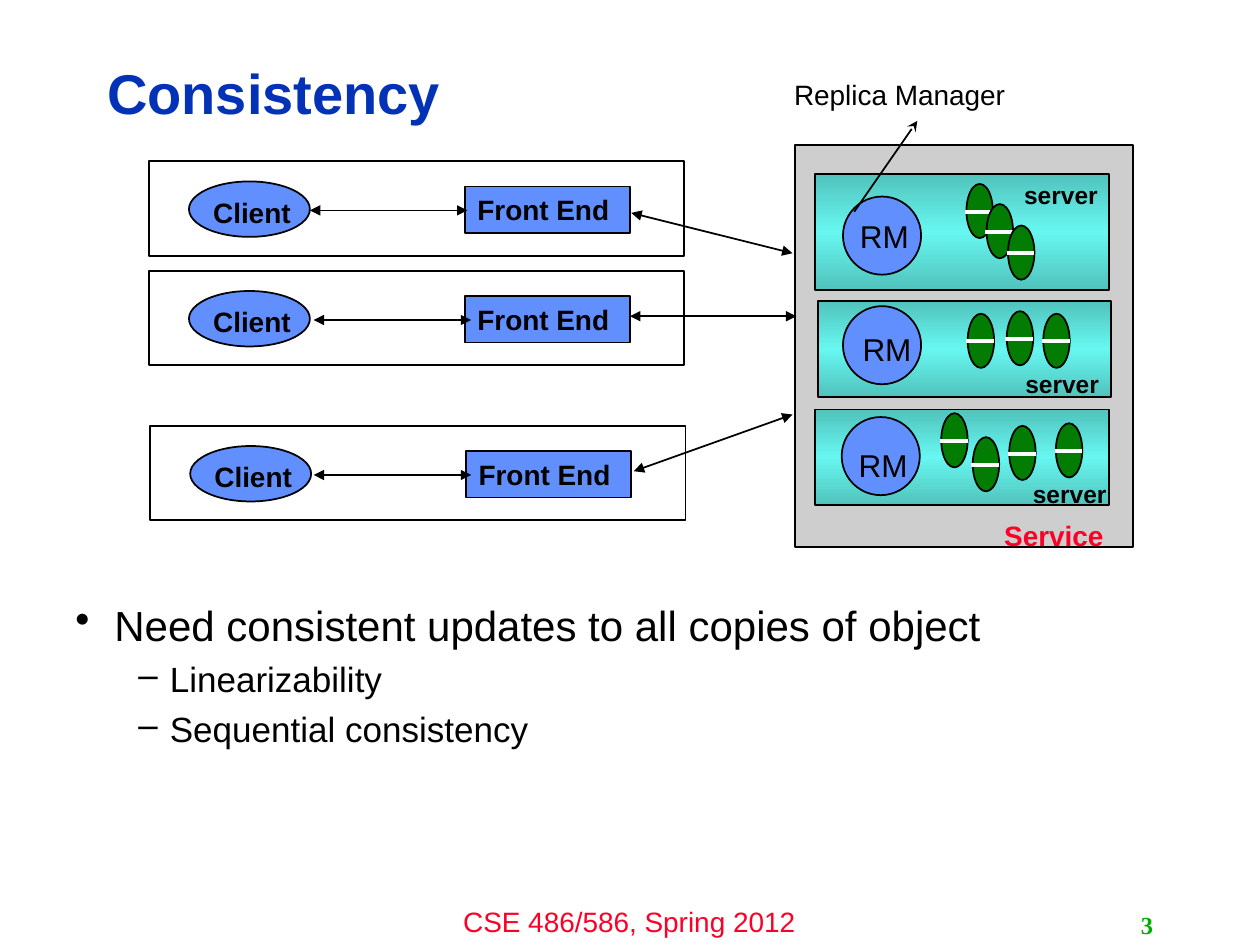
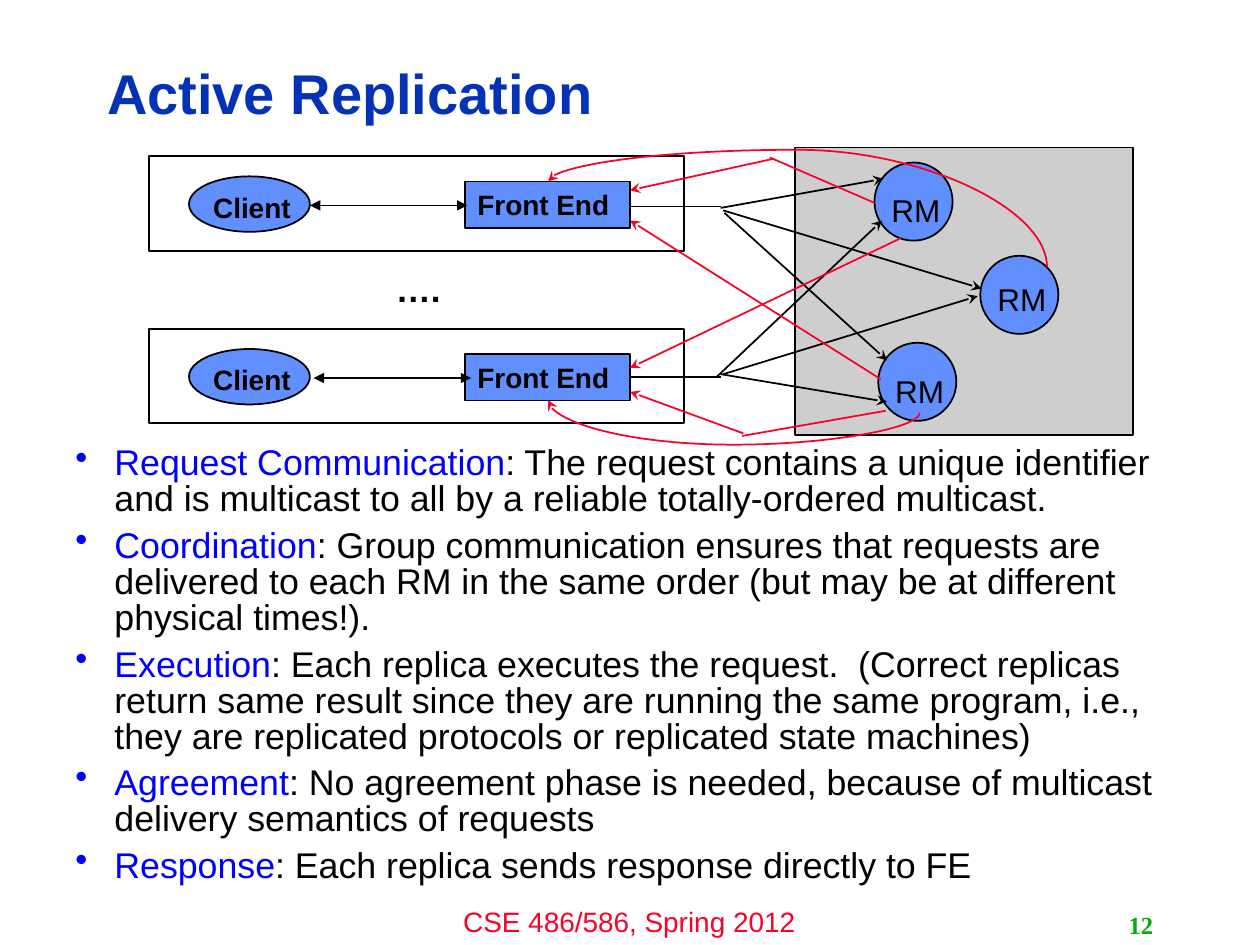
from copy import deepcopy
from dataclasses import dataclass

from lxml import etree
from pptx import Presentation
from pptx import util as u
from pptx.dml.color import RGBColor
from pptx.enum import shapes, text as t
from pptx.oxml.ns import qn


@dataclass(frozen=True)
class Theme:
    black: str = "000000"
    white: str = "FFFFFF"
    title: str = "0332B7"
    red: str = "FC0128"
    number: str = "00AE00"
    term: str = "0000FF"
    node: str = "618FFD"
    service: str = "CECECE"
    replica: str = "037C03"
    server: tuple = ("51C3BD", "67F7F0", "51C3BD")
    font: str = "Arial"
    number_font: str = "Times New Roman"
    title_size: float = 32
    body_size: float = 24
    sub_size: float = 20
    dense_size: float = 20.4
    manager_size: float = 18
    label_size: float = 16
    small_size: float = 14


@dataclass
class Link:
    """A line on a canvas; a bend makes it a curve, turned by some degrees."""
    canvas: object
    start: tuple
    end: tuple
    color: str = Theme.black
    width: float = 1
    head: str = ""
    tail: str = ""
    turn: int = 0
    bend: float = 0


THEME = Theme()
RECTANGLE = shapes.MSO_SHAPE.RECTANGLE
OVAL = shapes.MSO_SHAPE.OVAL
LEFT, CENTER, RIGHT = t.PP_ALIGN.LEFT, t.PP_ALIGN.CENTER, t.PP_ALIGN.RIGHT

presentation = Presentation()
presentation.slide_width = u.Inches(10)
presentation.slide_height = u.Inches(7.5)
# The grid has 100 columns and 75 rows of square cells.
CELL = presentation.slide_width // 100


def place(canvas, kind, at, fill=None):
    """Add a preset shape, or a text box if kind is None, at grid cells."""
    box = [round(length * CELL) for length in at]
    if kind is None:
        return canvas.add_textbox(*box)
    shape = canvas.add_shape(kind, *box)
    shape.shadow.inherit = False
    shape.line.color.rgb = RGBColor.from_string(THEME.black)
    shape.line.width = u.Pt(1)
    if fill is None:
        shape.fill.background()
    elif isinstance(fill, tuple):
        shape.fill.gradient()
        shape.fill.gradient_angle = 90
        stops = shape._element.spPr.find(".//" + qn("a:gsLst"))
        stops.insert(1, deepcopy(stops[0]))
        for index, stop in enumerate(shape.fill.gradient_stops):
            stop.position = index / 2
            stop.color.rgb = RGBColor.from_string(fill[index])
    else:
        shape.fill.solid()
        shape.fill.fore_color.rgb = RGBColor.from_string(fill)
    return shape


def write(shape, text, size=THEME.label_size, color=THEME.black, bold=False,
          font=THEME.font, align=CENTER, anchor=t.MSO_ANCHOR.TOP, wrap=True,
          spacing=None, before=0, bullet="", indent=(0, 0), paragraph=None):
    """Write text as a new paragraph, or as one more run of a given one."""
    frame = shape.text_frame
    if paragraph is None:
        frame.word_wrap = wrap
        frame.vertical_anchor = anchor
        first = frame.paragraphs[0]
        paragraph = frame.add_paragraph() if first.runs else first
        if bullet:
            properties = paragraph._p.get_or_add_pPr()
            properties.set("marL", str(u.Inches(indent[0])))
            properties.set("indent", str(u.Inches(indent[1])))
            etree.SubElement(properties, qn("a:buChar"), char=bullet)
        paragraph.alignment = align
        paragraph.space_before = u.Pt(before)
        if spacing:
            paragraph.line_spacing = spacing
    run = paragraph.add_run()
    run.text = text
    run.font.size = u.Pt(size)
    run.font.bold = bold
    run.font.name = font
    run.font.color.rgb = RGBColor.from_string(color)
    return paragraph


# Each lane is left, top and start of the arrow from client to front end.
pages = [
    ("Consistency", "3", (63.1, 11.5, 26.8, 31.9),
     [(11.8, 12.8, 24.6), (11.8, 21.5, 24.9), (11.9, 33.8, 24.9)]),
    ("Active Replication", "12", (63.1, 11.7, 26.8, 22.8),
     [(11.8, 12.4, 24.6), (11.8, 26.1, 24.9)]),
]
canvases = []
links = []
for heading, number, service_area, lanes in pages:
    slide = presentation.slides.add_slide(presentation.slide_layouts[5])
    canvas = slide.shapes
    canvases.append(canvas)

    title = canvas.title
    title.left, title.top, title.width, title.height = (
        round(length * CELL) for length in (7.5, 3.6, 79.8, 8.1))
    write(title, heading, size=THEME.title_size, color=THEME.title, bold=True,
          align=LEFT, anchor=t.MSO_ANCHOR.MIDDLE, spacing=0.9)
    write(place(canvas, None, (33.3, 71.3, 33.3, 3.7)),
          "CSE 486/586, Spring 2012", color=THEME.red)
    write(place(canvas, None, (71.7, 71.8, 20.8, 3.2)), number,
          size=THEME.small_size, color=THEME.number, bold=True,
          font=THEME.number_font, align=RIGHT, anchor=t.MSO_ANCHOR.MIDDLE)

    place(canvas, RECTANGLE, service_area, THEME.service)
    for left, top, arrow in lanes:
        place(canvas, RECTANGLE, (left, top, 42.5, 7.5))
        place(canvas, OVAL, (left + 3.2, top + 1.6, 9.6, 4.4), THEME.node)
        write(place(canvas, None, (left + 3.4, top + 2.2, 9.6, 3.7)),
              "Client", bold=True)
        front_end = place(canvas, RECTANGLE,
                          (left + 25.1, top + 2, 13.1, 3.7), THEME.node)
        write(front_end, "Front End", bold=True, align=LEFT)
        links.append(Link(canvas, (arrow, top + 3.9), (arrow + 12.5, top + 3.9),
                          head="triangle", tail="triangle"))

consistency, replication = canvases

# Servers: area, manager circle, manager label, server label, object copies
servers = [
    ((64.7, 13.8, 23.3, 9.2), (66.9, 15.6), (66.5, 16.7), (79.9, 13.8),
     [(76.7, 14.6), (78.3, 16.2), (80, 17.9)]),
    ((64.9, 23.9, 23.3, 7.6), (66.9, 24.3), (66.7, 25.7), (80, 28.8),
     [(76.8, 24.9), (79.9, 24.7), (82.8, 24.9)]),
    ((64.7, 32.5, 23.3, 7.6), (66.8, 33.1), (66.4, 34.9), (80.6, 37.5),
     [(74.7, 32.8), (77.2, 34.7), (80.1, 33.8), (83.8, 33.6)]),
]
for area, circle, manager_label, server_label, copies in servers:
    place(consistency, RECTANGLE, area, THEME.server)
    place(consistency, OVAL, (*circle, 6.2, 6.2), THEME.node)
    write(place(consistency, None, (*manager_label, 7.4, 3.7)), "RM",
          size=THEME.manager_size)
    for left, top in copies:
        group = consistency.add_group_shape().shapes
        place(group, OVAL, (left, top, 2.1, 4.3), THEME.replica)
        links.append(Link(group, (left - 0.1, top + 2.2), (left + 2.1, top + 2.2),
                          color=THEME.white, width=2.25))
    write(place(consistency, None, (*server_label, 8.6, 3.4)), "server",
          size=THEME.small_size, bold=True)

write(place(consistency, None, (78.3, 40.7, 10.7, 3.4)), "Service",
      color=THEME.red, bold=True)
write(place(consistency, None, (61.9, 5.7, 19, 3.7)), "Replica Manager", wrap=False)
links.append(Link(consistency, (67.8, 16.8), (72.8, 9.6), tail="stealth"))
for start, end in [((50.1, 16.9), (62.9, 20.1)), ((50, 25.1), (63.2, 25.1)),
                   ((50.3, 37.4), (62.9, 32.9))]:
    links.append(Link(consistency, start, end, head="triangle", tail="triangle"))

goals = place(consistency, None, (5, 47.5, 90, 22.5))
write(goals, "Need consistent updates to all copies of object",
      size=THEME.body_size, align=LEFT, spacing=0.9, bullet="•",
      indent=(0.31, -0.31))
for model in ("Linearizability", "Sequential consistency"):
    paragraph = write(goals, model, size=THEME.sub_size, align=LEFT, spacing=0.9,
                      before=7, bullet="–", indent=(0.75, -0.25))
    paragraph.level = 1

phases = place(replication, None, (5, 35, 90, 35))
for index, (phase, description) in enumerate([
    ("Request Communication", ": The request contains a unique identifier and is "
     "multicast to all by a reliable totally-ordered multicast."),
    ("Coordination", ": Group communication ensures that requests are delivered to "
     "each RM in the same order (but may be at different physical times!)."),
    ("Execution", ": Each replica executes the request.  (Correct replicas return "
     "same result since they are running the same program, i.e., they are "
     "replicated protocols or replicated state machines)"),
    ("Agreement", ": No agreement phase is needed, because of multicast delivery "
     "semantics of requests"),
    ("Response", ": Each replica sends response directly to FE"),
]):
    paragraph = write(phases, phase, size=THEME.dense_size, color=THEME.term,
                      align=LEFT, spacing=0.84, before=6 if index else 0,
                      bullet="•", indent=(0.31, -0.31))
    write(phases, description, size=THEME.dense_size, paragraph=paragraph)

for left, top, label_top in [(69.4, 12.9, 14.7), (77.8, 20.3, 21.7),
                             (69.7, 27.2, 29)]:
    place(replication, OVAL, (left, top, 6.2, 6.2), THEME.node)
    write(place(replication, None, (left - 0.4, label_top, 7.4, 3.7)), "RM",
          size=THEME.manager_size)
write(place(replication, None, (26, 20.7, 14.4, 4.4)), "….",
      size=THEME.sub_size, bold=True)

requests = [
    ((50.1, 16.4), (57.2, 16.4), ""), ((57.2, 16.5), (70.1, 14.2), "stealth"),
    ((57.4, 16.7), (77.9, 22.9), "stealth"), ((57.5, 16.9), (70.4, 28.6), "stealth"),
    ((50.1, 29.9), (57.2, 29.9), ""), ((56.9, 29.9), (70, 17.5), "stealth"),
    ((57.2, 29.7), (70.4, 31.9), "stealth"), ((57.4, 29.7), (77.6, 23.5), "stealth"),
]
responses = [
    ((69.4, 16.1), (61.1, 12.5), ""), ((61.4, 12.6), (50, 15.1), "stealth"),
    ((69.9, 30.1), (50, 17.5), "stealth"), ((70.3, 32.6), (58.9, 34.6), ""),
    ((59, 34.4), (50, 31.1), "stealth"), ((71.5, 18.9), (50, 29.2), "stealth"),
]
for color, arrows in ((THEME.black, requests), (THEME.red, responses)):
    for start, end, tail in arrows:
        links.append(Link(replication, start, end, color=color, tail=tail))
for start, end, turn, bend in [((59.9, 37.6), (66.7, -2), 270, 1.37),
                               ((58.75, 17.5), (57.75, 47), 90, -2.54)]:
    links.append(Link(replication, start, end, color=THEME.red, tail="stealth",
                      turn=turn, bend=bend))

for link in links:
    kind = shapes.MSO_CONNECTOR.CURVE if link.bend else shapes.MSO_CONNECTOR.STRAIGHT
    connector = link.canvas.add_connector(
        kind, *(round(length * CELL) for length in (*link.start, *link.end)))
    connector.line.color.rgb = RGBColor.from_string(link.color)
    connector.line.width = u.Pt(link.width)
    outline = connector.line._get_or_add_ln()
    for tag, arrowhead in (("a:headEnd", link.head), ("a:tailEnd", link.tail)):
        if arrowhead:
            etree.SubElement(outline, qn(tag), type=arrowhead)
    properties = connector._element.spPr
    etree.SubElement(properties, qn("a:effectLst"))
    if link.bend:
        properties.find(qn("a:xfrm")).set("rot", str(link.turn * 60000))
        adjustments = properties.find(".//" + qn("a:avLst"))
        etree.SubElement(adjustments, qn("a:gd"), name="adj1",
                         fmla=f"val {round(link.bend * 100000)}")

presentation.save("out.pptx")
